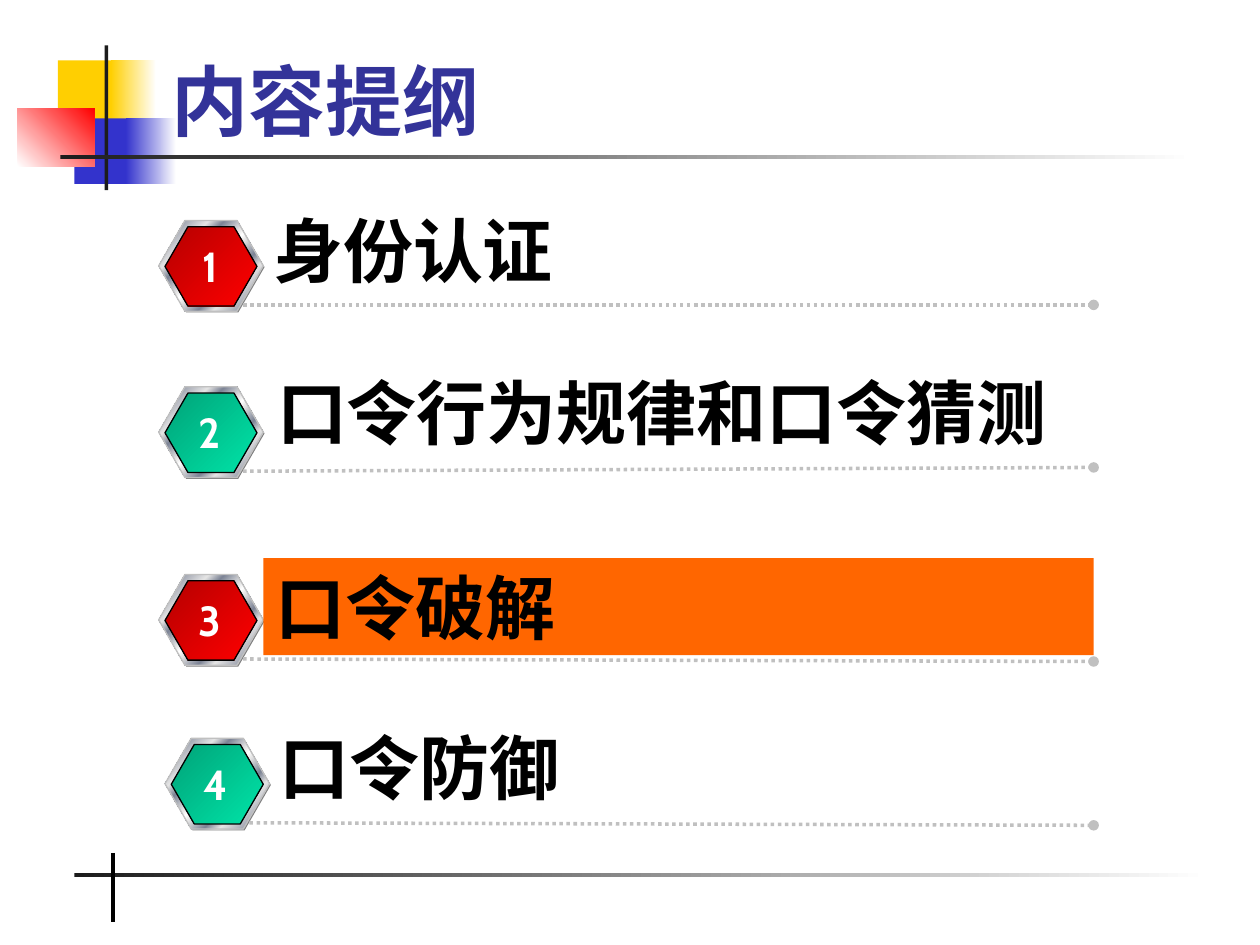
from dataclasses import dataclass

from pptx import Presentation
from pptx.dml.color import RGBColor
from pptx.enum.dml import MSO_LINE
from pptx.enum.shapes import MSO_CONNECTOR, MSO_SHAPE
from pptx.enum.text import MSO_ANCHOR, MSO_AUTO_SIZE, PP_ALIGN
from pptx.oxml.ns import qn
from pptx.util import Inches, Pt
from lxml.etree import SubElement


@dataclass(frozen=True)
class Theme:
    title_font: str = "Times New Roman"
    item_font: str = "Cabin"
    title_size: int = 44
    item_size: int = 40
    number_size: int = 24
    title: str = "333399"
    ink: str = "000000"
    white: str = "FFFFFF"
    bar: str = "1C1C1C"
    yellow: str = "FFCF01"
    blue: str = "3333CC"
    red: str = "FF0000"
    shadow: str = "808080"
    rule: str = "C0C0C0"
    highlight: str = "FF6600"
    red_badge: tuple = ((0, "B60000"), (100, "FF0000"))
    green_badge: tuple = ((0, "00A378"), (100, "00E4A8"))
    chrome: tuple = (
        (0, "E6E6E6"), (7, "7D8496"), (26, "E6E6E6"), (34, "7D8496"),
        (46, "E6E6E6"), (50, "FFFFFF"), (54, "E6E6E6"), (66, "7D8496"),
        (74, "E6E6E6"), (93, "7D8496"), (100, "E6E6E6"))


@dataclass(frozen=True)
class Box:
    left: float
    top: float
    width: float
    height: float

    def inner(self, left, top, width, height):
        """Return a box placed relative to this box's corner."""
        return Box(self.left + left, self.top + top, width, height)

    def emu(self):
        return [Inches(v) for v in (self.left, self.top, self.width, self.height)]


@dataclass(frozen=True)
class Item:
    text: str
    badge: Box
    label: Box
    rule_end: float
    highlighted: bool = False


THEME = Theme()
RULE_RIGHT = 8.68
BADGE_SIZE = (0.83, 0.72)
ITEMS = (
    Item("身份认证", Box(1.26, 1.75, *BADGE_SIZE), Box(2.07, 1.6, 6.6, 0.77), 2.42),
    Item("口令行为规律和口令猜测", Box(1.26, 3.07, *BADGE_SIZE), Box(2.1, 2.88, 6.58, 0.77), 3.71),
    Item("口令破解", Box(1.26, 4.56, *BADGE_SIZE), Box(2.09, 4.43, 6.59, 0.77), 5.25, True),
    Item("口令防御", Box(1.31, 5.86, *BADGE_SIZE), Box(2.12, 5.7, 6.14, 0.77), 6.55),
)


def color(value):
    return RGBColor.from_string(value)


def fill_gradient(fill, shape, stops, angle):
    """Fill with (percent, colour) stops; the angle turns clockwise."""
    fill.gradient()
    fill.gradient_angle = -angle % 360
    stop_list = shape.element.spPr.find(qn("a:gradFill")).find(qn("a:gsLst"))
    for stop in list(stop_list):
        stop_list.remove(stop)
    for percent, value in stops:
        stop = SubElement(stop_list, qn("a:gs"), pos=str(percent * 1000))
        SubElement(stop, qn("a:srgbClr"), val=value)


def add_filled(page, kind, box, paint, angle=0, outline=None):
    """Add a shape whose paint is one colour or a tuple of gradient stops."""
    shape = page.shapes.add_shape(kind, *box.emu())
    shape.shadow.inherit = False
    if isinstance(paint, str):
        shape.fill.solid()
        shape.fill.fore_color.rgb = color(paint)
    else:
        fill_gradient(shape.fill, shape, paint, angle)
    if outline:
        shape.line.color.rgb = color(outline)
        shape.line.width = Pt(0.75)
    else:
        shape.line.fill.background()
    return shape


def add_line(page, start, end, value, width):
    points = [Inches(v) for v in (*start, *end)]
    line = page.shapes.add_connector(MSO_CONNECTOR.STRAIGHT, *points)
    line.line.color.rgb = color(value)
    line.line.width = Pt(width)
    SubElement(line.element.spPr, qn("a:effectLst"))
    return line


def write_text(shape, text, font, size, value, align=PP_ALIGN.LEFT,
               anchor=MSO_ANCHOR.TOP, wrap=True, grow=True):
    frame = shape.text_frame
    frame.word_wrap = wrap
    frame.auto_size = MSO_AUTO_SIZE.SHAPE_TO_FIT_TEXT if grow else MSO_AUTO_SIZE.NONE
    frame.vertical_anchor = anchor
    para = frame.paragraphs[0]
    para.text = text
    para.alignment = align
    para.font.name = font
    para.font.size = Pt(size)
    para.font.bold = True
    para.font.color.rgb = color(value)


def add_corner(page, box):
    """Overlapping squares and cross bars around the title."""
    yellow_fade = ((0, THEME.yellow), (100, THEME.white))
    blue_fade = ((0, THEME.blue), (100, THEME.white))
    red_fade = ((0, THEME.white), (100, THEME.red))
    bar_fade = ((0, THEME.bar), (100, THEME.white))
    for place, paint, angle in (
            ((0.32, 0.12, 0.48, 0.52), THEME.yellow, 0),
            ((0.74, 0.12, 0.36, 0.52), yellow_fade, 0),
            ((0.45, 0.58, 0.46, 0.52), THEME.blue, 0),
            ((0.86, 0.58, 0.4, 0.52), blue_fade, 0),
            ((0, 0.5, 0.61, 0.46), red_fade, 315),
            ((0.69, 0, 0.03, 1.15), THEME.bar, 0),
            ((0.34, 0.87, 9, 0.03), bar_fade, 0)):
        add_filled(page, MSO_SHAPE.RECTANGLE, box.inner(*place), paint, angle)


def add_footer(page, box):
    fade = ((0, THEME.bar), (100, THEME.white))
    add_filled(page, MSO_SHAPE.RECTANGLE, box.inner(0, 0.16, box.width, 0.03), fade)
    x = box.left + 0.31
    add_line(page, (x, box.top), (x, box.top + box.height), THEME.ink, 2.25)


def add_title(page, box):
    title = page.shapes.title
    title.left, title.top, title.width, title.height = box.emu()
    write_text(title, "内容提纲", THEME.title_font, THEME.title_size, THEME.title,
               anchor=MSO_ANCHOR.BOTTOM, grow=False)
    title.element.getparent().append(title.element)


def add_badge(page, box, paint):
    """Hexagon button: shadow, chrome rim and coloured face."""
    for place, fill, outline in (
            ((0.01, 0.01, box.width, box.height), THEME.shadow, None),
            ((0, 0, box.width, box.height), THEME.chrome, THEME.rule),
            ((0.05, 0.05, 0.73, 0.63), paint, THEME.ink)):
        hexagon = add_filled(page, MSO_SHAPE.HEXAGON, box.inner(*place), fill, 45, outline)
        hexagon.adjustments[0] = 0.289


def add_item(page, number, item):
    badge = item.badge
    add_badge(page, badge, THEME.red_badge if number % 2 else THEME.green_badge)
    rule = add_line(page, (badge.left + 0.67, badge.top + 0.67),
                    (RULE_RIGHT, item.rule_end), THEME.rule, 2)
    rule.line.dash_style = MSO_LINE.ROUND_DOT
    SubElement(rule.element.spPr.find(qn("a:ln")), qn("a:tailEnd"), type="oval")
    if item.highlighted:
        label = add_filled(page, MSO_SHAPE.RECTANGLE, item.label, THEME.highlight)
        font = THEME.title_font
    else:
        label = page.shapes.add_textbox(*item.label.emu())
        font = THEME.item_font
    write_text(label, item.text, font, THEME.item_size, THEME.ink)
    digit = page.shapes.add_textbox(*badge.inner(0.21, 0.11, 0.39, 0.5).emu())
    write_text(digit, str(number), THEME.item_font, THEME.number_size, THEME.white,
               align=PP_ALIGN.CENTER, wrap=False)


def main():
    deck = Presentation()
    deck.slide_width, deck.slide_height = Inches(10), Inches(7.5)
    page = deck.slides.add_slide(deck.slide_layouts.get_by_name("Title Only"))
    add_corner(page, Box(0.14, 0.36, 9.34, 1.15))
    add_footer(page, Box(0.59, 6.77, 9, 0.55))
    add_title(page, Box(1.26, 0.16, 8.52, 1.05))
    for number, item in enumerate(ITEMS, 1):
        add_item(page, number, item)
    deck.save("out.pptx")


if __name__ == "__main__":
    main()
